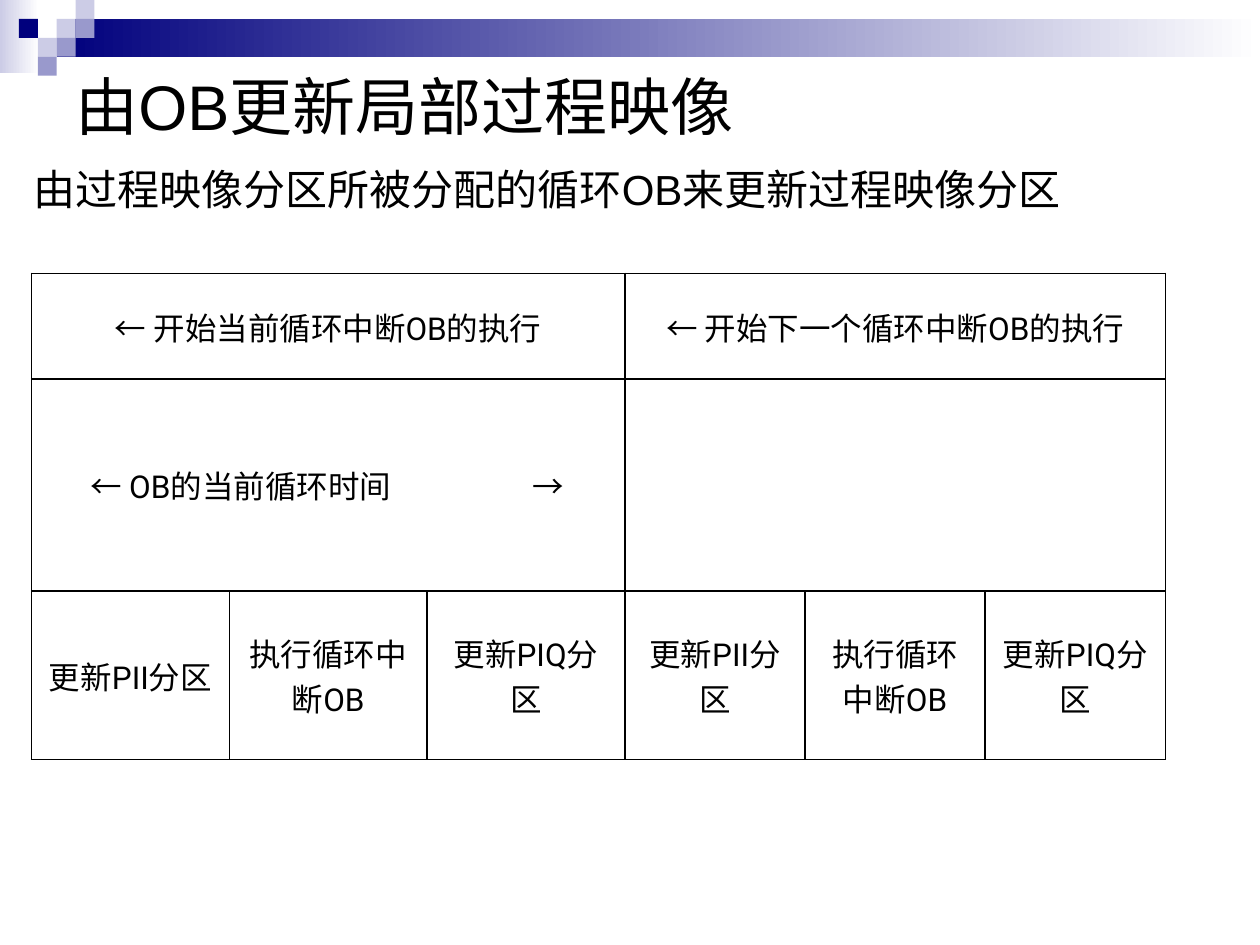
import itertools

import pptx
import pptx.dml.color
import pptx.enum.shapes
import pptx.enum.text
import pptx.oxml
import pptx.oxml.ns
import pptx.util
from pptx.util import Inches

NAVY, LAVENDER, PERIWINKLE = "00007D", "CCCCE6", "9999CC"
WHITE, BLACK = "FFFFFF", "000000"

SQUARE = 0.15
# Column and row on the grid of small squares, with the colour.
SQUARES = [
    (3, 1, LAVENDER), (4, 0, LAVENDER), (4, 1, PERIWINKLE), (2, 2, LAVENDER),
    (1, 1, NAVY), (3, 2, PERIWINKLE), (2, 3, PERIWINKLE),
]
COLUMNS = [1.57] * 3 + [1.43] * 3
ROWS = [0.84, 1.68, 1.34]
STEPS = ["更新PII分区", "执行循环中断OB", "更新PIQ分区"]


def color(hex_text):
    return pptx.dml.color.RGBColor.from_string(hex_text)


def is_latin(letter):
    return letter.isascii() and letter.isalpha()


class SlideBuilder:
    text_font = "Arial"
    table_font = "Noto Sans CJK SC"
    latin_font = "Roboto"
    table_size = 18
    border_points = 1

    def __init__(self, page):
        self.page = page

    def rectangle(self, left, top, width, height, *colors):
        """Draw a borderless block; two colours make a left-to-right gradient."""
        shape = self.page.shapes.add_shape(
            pptx.enum.shapes.MSO_SHAPE.RECTANGLE,
            Inches(left), Inches(top), Inches(width), Inches(height))
        shape.shadow.inherit = False
        shape.line.fill.background()
        if len(colors) == 1:
            shape.fill.solid()
            shape.fill.fore_color.rgb = color(colors[0])
        else:
            shape.fill.gradient()
            shape.fill.gradient_angle = 0
            for stop, stop_color in zip(shape.fill.gradient_stops, colors):
                stop.color.rgb = color(stop_color)

    def text(self, left, top, width, height, words, size, anchor):
        box = self.page.shapes.add_textbox(
            Inches(left), Inches(top), Inches(width), Inches(height))
        box.text_frame.word_wrap = True
        box.text_frame.vertical_anchor = anchor
        para = box.text_frame.paragraphs[0]
        para.text = words
        para.font.name = self.text_font
        para.font.size = pptx.util.Pt(size)
        para.font.color.rgb = color(BLACK)

    def table(self, left, top, columns, rows):
        frame = self.page.shapes.add_table(
            len(rows), len(columns), Inches(left), Inches(top),
            Inches(sum(columns)), Inches(sum(rows)))
        table = frame.table
        table.first_row = table.horz_banding = False
        for column, width in zip(table.columns, columns):
            column.width = Inches(width)
        for row, height in zip(table.rows, rows):
            row.height = Inches(height)
        for cell in table.iter_cells():
            cell.fill.background()
            self.borders(cell)
        return table

    def borders(self, cell):
        properties = cell._tc.get_or_add_tcPr()
        width = pptx.util.Pt(self.border_points)
        for position, side in enumerate("LRTB"):
            properties.insert(position, pptx.oxml.parse_xml(
                f'<a:ln{side} {pptx.oxml.ns.nsdecls("a")} w="{width}"><a:solidFill>'
                f'<a:srgbClr val="{BLACK}"/></a:solidFill></a:ln{side}>'))

    def cell_text(self, cell, words):
        """Fill a cell, with Latin letters in their own font."""
        cell.vertical_anchor = pptx.enum.text.MSO_ANCHOR.MIDDLE
        para = cell.text_frame.paragraphs[0]
        para.alignment = pptx.enum.text.PP_ALIGN.CENTER
        para.font.size = pptx.util.Pt(self.table_size)
        para.font.color.rgb = color(BLACK)
        for latin, letters in itertools.groupby(words, is_latin):
            span = para.add_run()
            span.text = "".join(letters)
            span.font.name = self.latin_font if latin else self.table_font
            span.font._element.append(pptx.oxml.parse_xml(
                f'<a:ea {pptx.oxml.ns.nsdecls("a")} typeface="{self.table_font}"/>'))

    def spread_cell_text(self, cell, words, margin, tab):
        """Fill a cell from the left, with a tab stop measured from the margin."""
        para = cell.text_frame.paragraphs[0]
        para._p.get_or_add_pPr().append(pptx.oxml.parse_xml(
            f'<a:tabLst {pptx.oxml.ns.nsdecls("a")}>'
            f'<a:tab pos="{Inches(tab)}" algn="l"/></a:tabLst>'))
        self.cell_text(cell, words)
        para.alignment = pptx.enum.text.PP_ALIGN.LEFT
        cell.margin_left = Inches(margin)


def main():
    deck = pptx.Presentation()
    deck.slide_width, deck.slide_height = Inches(10), Inches(7.5)
    builder = SlideBuilder(deck.slides.add_slide(deck.slide_layouts[6]))

    builder.rectangle(0, 0, 0.31, 0.58, LAVENDER, WHITE)
    builder.rectangle(0.45, 0.15, 9.55, 0.3, NAVY, WHITE)
    for column, row, fill in SQUARES:
        builder.rectangle(column * SQUARE, row * SQUARE, SQUARE, SQUARE, fill)

    anchors = pptx.enum.text.MSO_ANCHOR
    builder.text(0.5, 0.5, 9, 0.67, "由OB更新局部过程映像", 36, anchors.MIDDLE)
    builder.text(0.17, 1.25, 9.5, 0.5,
                 "由过程映像分区所被分配的循环OB来更新过程映像分区", 24, anchors.TOP)

    table = builder.table(0.25, 2.17, COLUMNS, ROWS)
    for row, column in itertools.product((0, 1), (0, 3)):
        table.cell(row, column).merge(table.cell(row, column + 2))
    builder.cell_text(table.cell(0, 0), "← 开始当前循环中断OB的执行")
    builder.cell_text(table.cell(0, 3), "← 开始下一个循环中断OB的执行")
    builder.spread_cell_text(table.cell(1, 0), "← OB的当前循环时间\t→", 0.47, 3.51)
    for column, step in enumerate(STEPS * 2):
        builder.cell_text(table.cell(2, column), step)

    deck.save("out.pptx")


if __name__ == "__main__":
    main()
